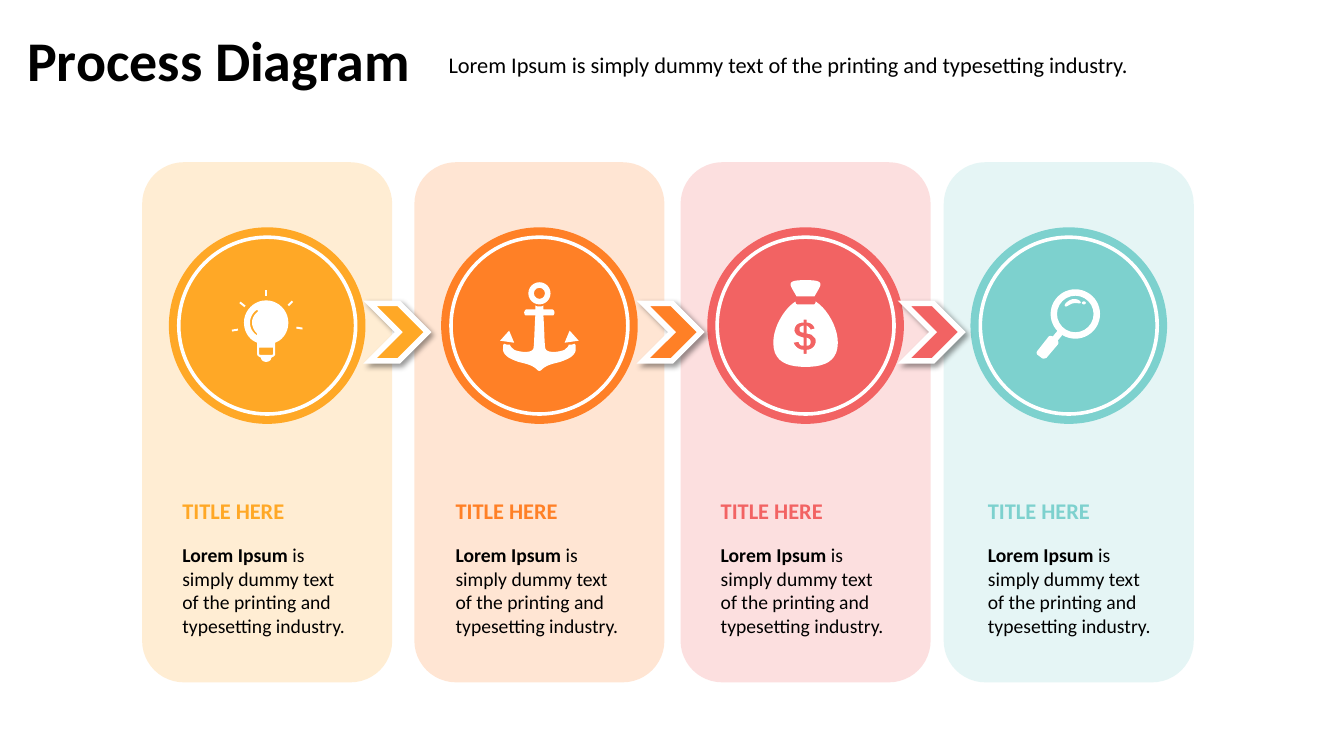
from dataclasses import dataclass
from lxml import etree
from pptx import Presentation
from pptx.dml.color import RGBColor
from pptx.enum.shapes import MSO_CONNECTOR, MSO_SHAPE
from pptx.enum.text import MSO_ANCHOR, MSO_AUTO_SIZE, PP_ALIGN
from pptx.oxml import parse_xml
from pptx.oxml.ns import nsdecls, qn
from pptx.util import Inches, Pt

CARD, DISC, RING, CHEVRON = (MSO_SHAPE.ROUNDED_RECTANGLE, MSO_SHAPE.OVAL,
                             MSO_SHAPE.DONUT, MSO_SHAPE.CHEVRON)
STRAIGHT = MSO_CONNECTOR.STRAIGHT
LEFT, CENTER = PP_ALIGN.LEFT, PP_ALIGN.CENTER
TOP, GROW = MSO_ANCHOR.TOP, MSO_AUTO_SIZE.SHAPE_TO_FIT_TEXT


@dataclass(frozen=True)
class Theme:
    font: str = "Calibri"
    ink: str = "000000"
    white: str = "FFFFFF"
    amber: str = "FFA826"
    orange: str = "FF8026"
    coral: str = "F26363"
    teal: str = "7DD1CE"
    title: int = 40
    heading: int = 16
    body: int = 14


THEME = Theme()
CURVE_STEPS = 10
DISC_Y = 3.23
INTRO = "Lorem Ipsum is simply dummy text of the printing and typesetting industry."
BODY = [("Lorem Ipsum", True),
        (" is simply dummy text of the printing and typesetting industry.", False)]

BULB = [(0, -25), (12, -25, 22, -15, 22, -3), (22, 6, 17, 14, 9, 17), (9, 28),
        (9, 30, 7, 31, 5, 32), (5, 35, 2, 36, 0, 36)]
BULB_WINDOW = [(0, 22), (7, 22), (7, 28), (7, 29, 6, 29, 5, 29), (0, 29)]
BULB_GLINT = [(-8, -14), (-12, -11, -14, -7, -14, -3), (-14, 1, -12, 5, -9, 8),
              (-9, 10, -10, 10, -10, 9), (-14, 6, -16, 2, -16, -3),
              (-16, -8, -13, -13, -10, -15), (-9, -16, -8, -15, -8, -14)]
BULB_RAYS = [(0, -35, 0, -29), (-26, -23, -21, -19), (-34, 5, -28, 4),
             (30, 2, 36, 3), (22, -20, 26, -24)]
ANCHOR = [(0, -19), (2, -19, 3, -19, 4, -20), (4, -16), (13, -16),
          (14, -16, 15, -14, 15, -13), (15, -11, 14, -10, 13, -10), (4, -10),
          (5, 4, 5, 20, 6, 23), (8, 28, 21, 26, 25, 24), (27, 22, 29, 21, 29, 19),
          (32, 19), (35, 18), (36, 19, 36, 20, 36, 22), (37, 28, 31, 32, 26, 34),
          (24, 35, 23, 35, 21, 36), (13, 38, 7, 39, 2, 44), (1, 45, 0, 45, 0, 45)]
FLUKE = [(30, 5), (39, 15), (25, 17)]
BAG_NECK = [(0, -45), (8, -45, 18, -45, 14, -38), (12, -34, 10, -31, 9, -29), (0, -29)]
BAG = [(0, -21), (8, -21), (9, -21, 10, -22, 10, -24), (22, -16, 32, 2, 32, 17),
       (32, 36, 18, 41, 0, 41)]
DOLLAR = [(8, 21), (6, 23, 4, 24, 1, 24), (1, 28), (-2, 28), (-2, 24),
          (-7, 24, -10, 21, -12, 17), (-7, 16), (-6, 19, -5, 20, -2, 20), (-2, 12),
          (-5, 11, -8, 10, -9, 9), (-10, 8, -11, 6, -11, 5), (-11, 0, -8, -3, -2, -3),
          (-2, -6), (1, -6), (1, -3), (5, -3, 8, -1, 9, 3), (5, 4), (4, 2, 3, 1, 1, 0),
          (1, 8), (4, 8, 5, 9, 6, 9), (7, 10, 8, 11, 9, 12), (10, 13, 10, 14, 10, 16),
          (10, 18, 9, 20, 8, 21)]
DOLLAR_UPPER = [(-6, 4), (-6, 5, -5, 7, -2, 7), (-2, 0), (-3, 0, -4, 1, -5, 1),
                (-6, 2, -6, 2, -6, 4)]
DOLLAR_LOWER = [(1, 12), (1, 20), (2, 20, 3, 20, 4, 19), (5, 18, 5, 17, 5, 16),
                (5, 14, 4, 13, 1, 12)]
HANDLE = [(-11, 5), (-16, 11), (-17, 10, -19, 10, -20, 11), (-31, 25),
          (-32, 26, -32, 28, -31, 29), (-27, 32), (-26, 33, -24, 33, -22, 32),
          (-11, 19), (-10, 18, -10, 16, -11, 15), (-6, 9)]
LENS_GLINT = [(12, -23), (12, -21, 8, -23, 4, -22), (0, -21, -3, -17, -4, -20),
              (-4, -22, 0, -25, 3, -26), (6, -27, 11, -26, 12, -23)]


def paint(shape, color):
    shape.shadow.inherit = False
    shape.fill.solid()
    shape.fill.fore_color.rgb = RGBColor.from_string(color)
    shape.line.fill.background()
    return shape


def add_preset(slide, kind, x, y, w, h, color, adjust=None):
    shape = slide.shapes.add_shape(kind, Inches(x), Inches(y), Inches(w), Inches(h))
    if adjust is not None:
        shape.adjustments[0] = adjust
    return paint(shape, color)


def write(box, x, y, w, h, text, size, color=THEME.ink, bold=False, align=LEFT, wrap=True):
    box.left, box.top, box.width, box.height = Inches(x), Inches(y), Inches(w), Inches(h)
    frame = box.text_frame
    frame.word_wrap, frame.auto_size, frame.vertical_anchor = wrap, GROW, TOP
    paragraph = frame.paragraphs[0]
    paragraph.alignment = align
    for words, strong in [(text, bold)] if isinstance(text, str) else text:
        run = paragraph.add_run()
        run.text = words
        run.font.name, run.font.size, run.font.bold = THEME.font, Pt(size), strong
        run.font.color.rgb = RGBColor.from_string(color)


def add_text(slide, x, y, w, h, text, size, **style):
    box = slide.shapes.add_textbox(Inches(x), Inches(y), Inches(w), Inches(h))
    write(box, x, y, w, h, text, size, **style)


def flatten(outline):
    points = [outline[0]]
    for segment in outline[1:]:
        if len(segment) == 2:
            points.append(segment)
            continue
        anchors = [points[-1], segment[:2], segment[2:4], segment[4:]]
        for step in range(1, CURVE_STEPS + 1):
            t = step / CURVE_STEPS
            weights = ((1 - t) ** 3, 3 * t * (1 - t) ** 2, 3 * t * t * (1 - t), t ** 3)
            points.append(tuple(sum(w * a[axis] for w, a in zip(weights, anchors))
                                for axis in (0, 1)))
    return points


def mirror(points):
    return [(-x, y) for x, y in reversed(points)]


def whole(half):
    points = flatten(half)
    return points + mirror(points)


def add_outline(slide, center, *contours):
    scaled = [[(Inches(x / 100), Inches(y / 100)) for x, y in points]
              for points in contours]
    builder = slide.shapes.build_freeform(*scaled[0][0])
    for index, points in enumerate(scaled):
        if index:
            builder.move_to(*points[0])
        builder.add_line_segments(points[1:], close=True)
    paint(builder.convert_to_shape(Inches(center), Inches(DISC_Y)), THEME.white)


def add_ray(slide, center, ray):
    x1, y1, x2, y2 = (value / 100 for value in ray)
    line = slide.shapes.add_connector(STRAIGHT, Inches(center + x1), Inches(DISC_Y + y1),
                                      Inches(center + x2), Inches(DISC_Y + y2))
    line.line.color.rgb = RGBColor.from_string(THEME.white)
    line.line.width = Pt(1.4)
    etree.SubElement(line._element.spPr, qn("a:effectLst"))


def draw_bulb(slide, center):
    axis = center - 0.01
    add_outline(slide, axis, whole(BULB), whole(BULB_WINDOW), flatten(BULB_GLINT))
    for ray in BULB_RAYS:
        add_ray(slide, axis, ray)


def draw_anchor(slide, center):
    add_preset(slide, RING, center - 0.11, DISC_Y - 0.43, 0.22, 0.22, THEME.white, 0.25)
    add_outline(slide, center, whole(ANCHOR))
    add_outline(slide, center, FLUKE, mirror(FLUKE))


def draw_money_bag(slide, center):
    add_outline(slide, center, whole(BAG_NECK))
    add_outline(slide, center, whole(BAG), flatten(DOLLAR),
                flatten(DOLLAR_UPPER), flatten(DOLLAR_LOWER))


def draw_magnifier(slide, center):
    add_preset(slide, RING, center - 0.18, DISC_Y - 0.36, 0.49, 0.49, THEME.white, 0.13)
    add_outline(slide, center, flatten(HANDLE))
    add_outline(slide, center, flatten(LENS_GLINT))
    add_preset(slide, DISC, center + 0.13, DISC_Y - 0.24, 0.04, 0.03, THEME.white)


def add_card(slide, left, color):
    card = add_preset(slide, CARD, left, 1.61, 2.48, 5.16, color)
    tint = card._element.spPr.find(qn("a:solidFill"))[0]
    etree.SubElement(tint, qn("a:alpha"), val="20000")


def add_chevron(slide, left, color):
    chevron = add_preset(slide, CHEVRON, left, 3.01, 0.57, 0.57, color)
    chevron.line.color.rgb = RGBColor.from_string(THEME.white)
    chevron.line.width = Pt(4)
    etree.SubElement(chevron.line._ln, qn("a:miter"), lim="800000")
    chevron._element.spPr.find(qn("a:effectLst")).append(parse_xml(
        f'<a:outerShdw {nsdecls("a")} blurRad="{Pt(4)}" dist="{Pt(3)}" dir="2700000" '
        'algn="tl" rotWithShape="0"><a:srgbClr val="000000"><a:alpha val="40000"/>'
        '</a:srgbClr></a:outerShdw>'))


def add_step(slide, left, text_left, color, draw_icon):
    center = left + 1.24
    for kind, size, fill, adjust in ((DISC, 1.95, color, None),
                                     (RING, 1.79, THEME.white, 0.02)):
        add_preset(slide, kind, center - size / 2, DISC_Y - size / 2, size, size, fill, adjust)
    draw_icon(slide, center)
    add_text(slide, text_left, 5.34, 1.87, 1.04, BODY, THEME.body)
    add_text(slide, text_left, 4.88, 1.68, 0.37, "TITLE HERE", THEME.heading,
             color=color, bold=True)


def main():
    deck = Presentation()
    deck.slide_width, deck.slide_height = Inches(13.33), Inches(7.5)
    slide = deck.slides.add_slide(deck.slide_layouts[5])
    write(slide.shapes.title, 0.17, 0.2, 4.04, 0.77, "Process Diagram", THEME.title,
          bold=True, wrap=False)
    add_text(slide, 4.22, 0.46, 7.2, 0.37, INTRO, THEME.heading, align=CENTER, wrap=False)
    steps = [(1.41, 1.71, THEME.amber, draw_bulb), (4.11, 4.42, THEME.orange, draw_anchor),
             (6.75, 7.05, THEME.coral, draw_money_bag),
             (9.36, 9.7, THEME.teal, draw_magnifier)]
    for left, _, color, _ in steps:
        add_card(slide, left, color)
    for step in steps:
        add_step(slide, *step)
    for left, (_, _, color, _) in zip((3.67, 6.38, 8.97), steps):
        add_chevron(slide, left, color)
    deck.save("out.pptx")


if __name__ == "__main__":
    main()
